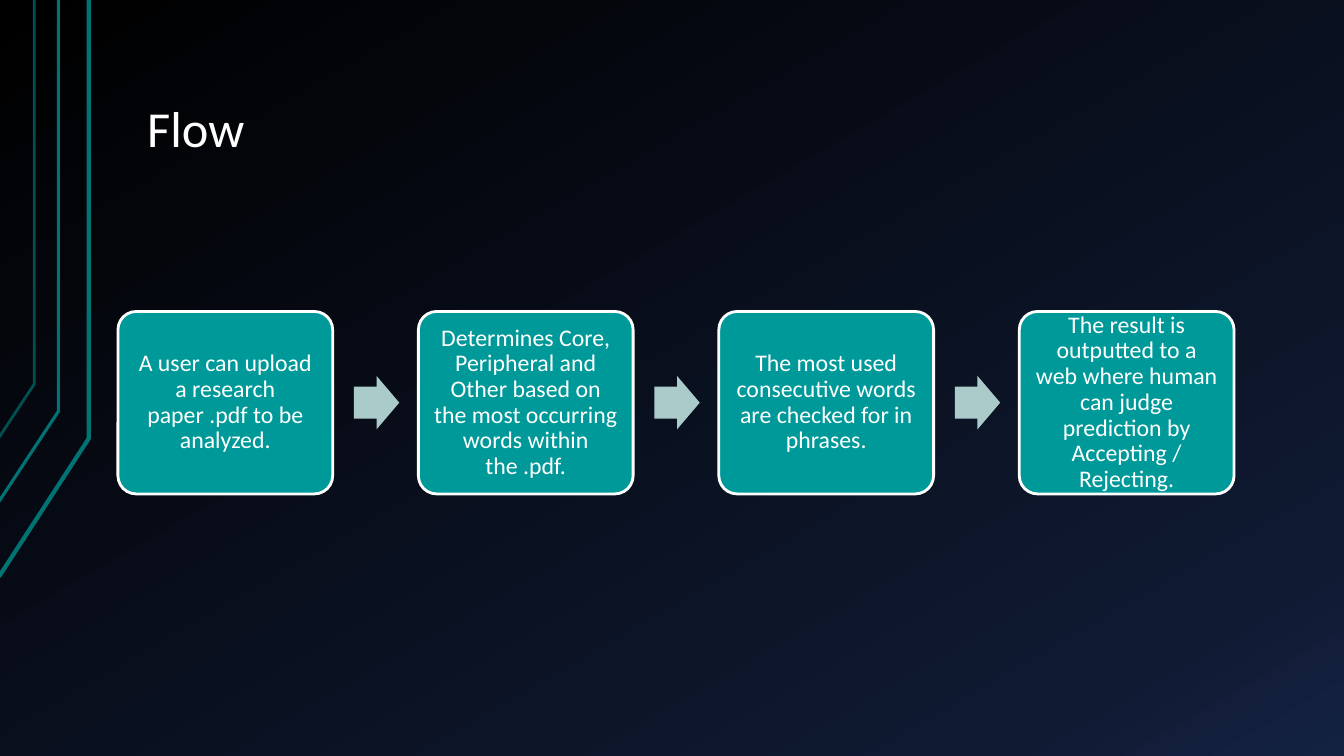
from copy import deepcopy

from pptx import Presentation
from pptx.dml.color import RGBColor
from pptx.enum import shapes as sh, text as tx
from pptx.util import Inches, Pt

HUES = {
    "black": "000000", "navy": "0F1931", "blue": "142242", "line": "007373",
    "dim": "005050", "box": "009999", "arrow": "ABCACA", "white": "FFFFFF",
}
STEPS = [
    "A user can upload a research paper .pdf to be analyzed.",
    "Determines Core, Peripheral and Other based on the most occurring words within the .pdf.",
    "The most used consecutive words are checked for in phrases.",
    "The result is outputted to a web where human can judge prediction by Accepting / Rejecting.",
]


def hue(name):
    """Return the named colour."""
    return RGBColor.from_string(HUES[name])


def write(shape, words, size, align, anchor, pads, after=0):
    """Put formatted text into a shape."""
    frame = shape.text_frame
    frame.word_wrap = True
    frame.auto_size = tx.MSO_AUTO_SIZE.NONE
    frame.vertical_anchor = anchor
    frame.margin_left = frame.margin_right = Inches(pads[0])
    frame.margin_top = frame.margin_bottom = Inches(pads[1])
    para = frame.paragraphs[0]
    para.alignment = align
    para.line_spacing = 0.9
    para.space_after = Pt(after)
    run = para.add_run()
    run.text = words
    run.font.name = "Calibri"
    run.font.size = Pt(size)
    run.font.color.rgb = hue("white")


def add_form(slide, kind, box, fill, ratios):
    """Add a filled preset shape without an outline."""
    form = slide.shapes.add_shape(kind, *map(Inches, box))
    form.shadow.inherit = False
    form.fill.solid()
    form.fill.fore_color.rgb = hue(fill)
    form.line.fill.background()
    for i, ratio in enumerate(ratios):
        form.adjustments[i] = ratio
    return form


def add_back(slide):
    """Fill the background with a three-stop gradient."""
    fill = slide.background.fill
    fill.gradient()
    fill.gradient_angle = 300
    stops = slide.background._cSld.bg.bgPr.find(".//{*}gsLst")
    stops.append(deepcopy(stops[-1]))
    for stop, name, place in zip(fill.gradient_stops, ("black", "navy", "blue"), (0, 0.85, 1)):
        stop.color.rgb = hue(name)
        stop.position = place


def add_rails(slide, left, top):
    """Draw the bent lines at the left edge."""
    rails = [
        (-0.01, 5.72, 0.88, 4.35, 3, "line"),
        (-0.02, 4.99, 0.58, 4.08, 2.25, "line"),
        (-0.01, 4.34, 0.34, 3.81, 2, "dim"),
    ]
    for start, foot, side, bend, width, name in rails:
        pen = slide.shapes.build_freeform(Inches(left + start), Inches(top + foot))
        ends = [(side, bend), (side, 0)]
        pen.add_line_segments([(Inches(left + x), Inches(top + y)) for x, y in ends], close=False)
        rail = pen.convert_to_shape()
        rail.shadow.inherit = False
        rail.fill.background()
        rail.line.color.rgb = hue(name)
        rail.line.width = Pt(width)


def add_title(slide, left, top, width, height):
    """Place and format the title."""
    title = slide.shapes.title
    title.left, title.top, title.width, title.height = map(Inches, (left, top, width, height))
    write(title, "Flow", 36, tx.PP_ALIGN.LEFT, tx.MSO_ANCHOR.BOTTOM, (0.13, 0.07))


def add_flow(slide, left, top, width, height):
    """Lay out the steps in a row with arrows between them."""
    wide, tall = 0.45, 0.53
    card = 2.13
    pitch = (width - card) / (len(STEPS) - 1)
    for i, words in enumerate(STEPS):
        x = left + i * pitch
        if i:
            spot = (x - 0.64, top + (height - tall) / 2, wide, tall)
            add_form(slide, sh.MSO_SHAPE.RIGHT_ARROW, spot, "arrow", (0.6, 0.5))
        step = add_form(slide, sh.MSO_SHAPE.ROUNDED_RECTANGLE, (x, top, card, height), "box", (0.1,))
        step.line.color.rgb = hue("white")
        step.line.width = Pt(2)
        write(step, words, 17, tx.PP_ALIGN.CENTER, tx.MSO_ANCHOR.MIDDLE, (0.1, 0.1), after=6)


def main():
    """Build and save the slide."""
    deck = Presentation()
    deck.slide_width, deck.slide_height = Inches(13.33), Inches(7.5)
    slide = deck.slides.add_slide(deck.slide_layouts[5])
    add_back(slide)
    add_rails(slide, 0, 0)
    add_title(slide, 1.33, 0.3, 11.33, 1.34)
    add_flow(slide, 1.17, 3.09, 11.07, 1.81)
    deck.save("out.pptx")


if __name__ == "__main__":
    main()
